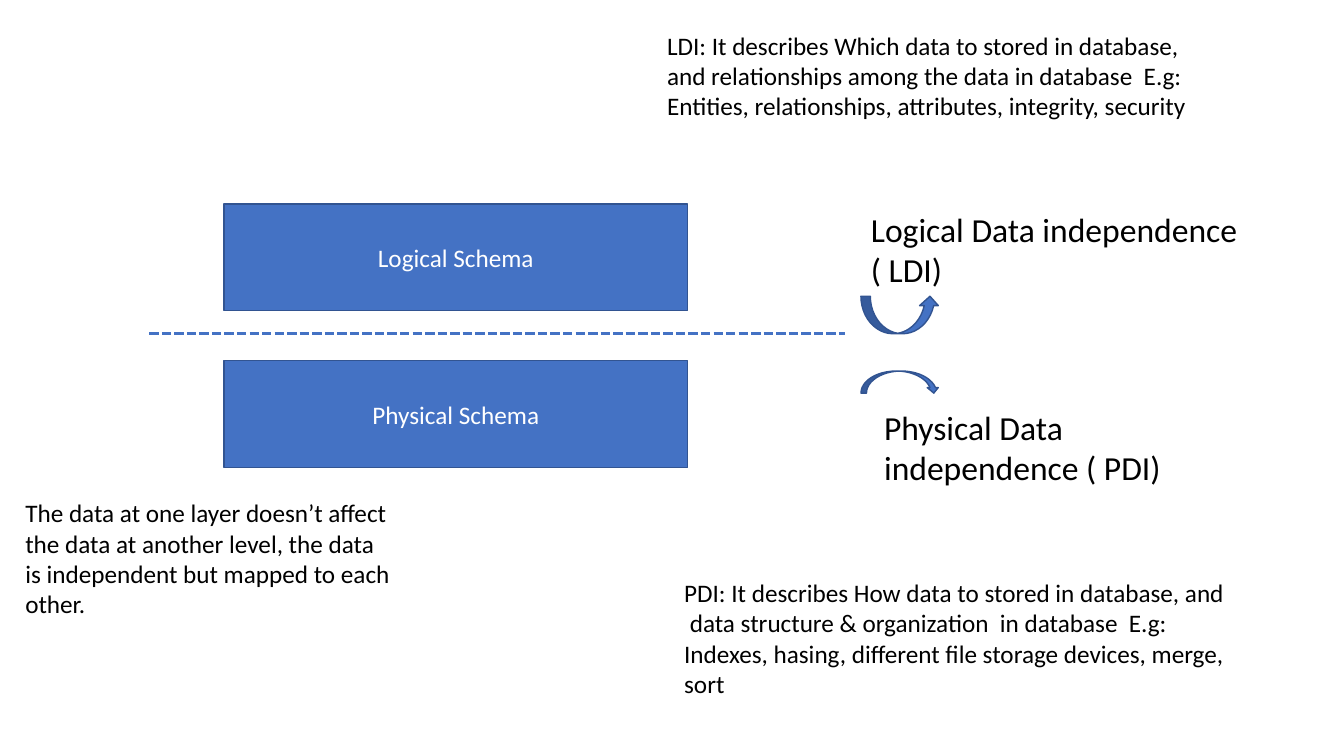
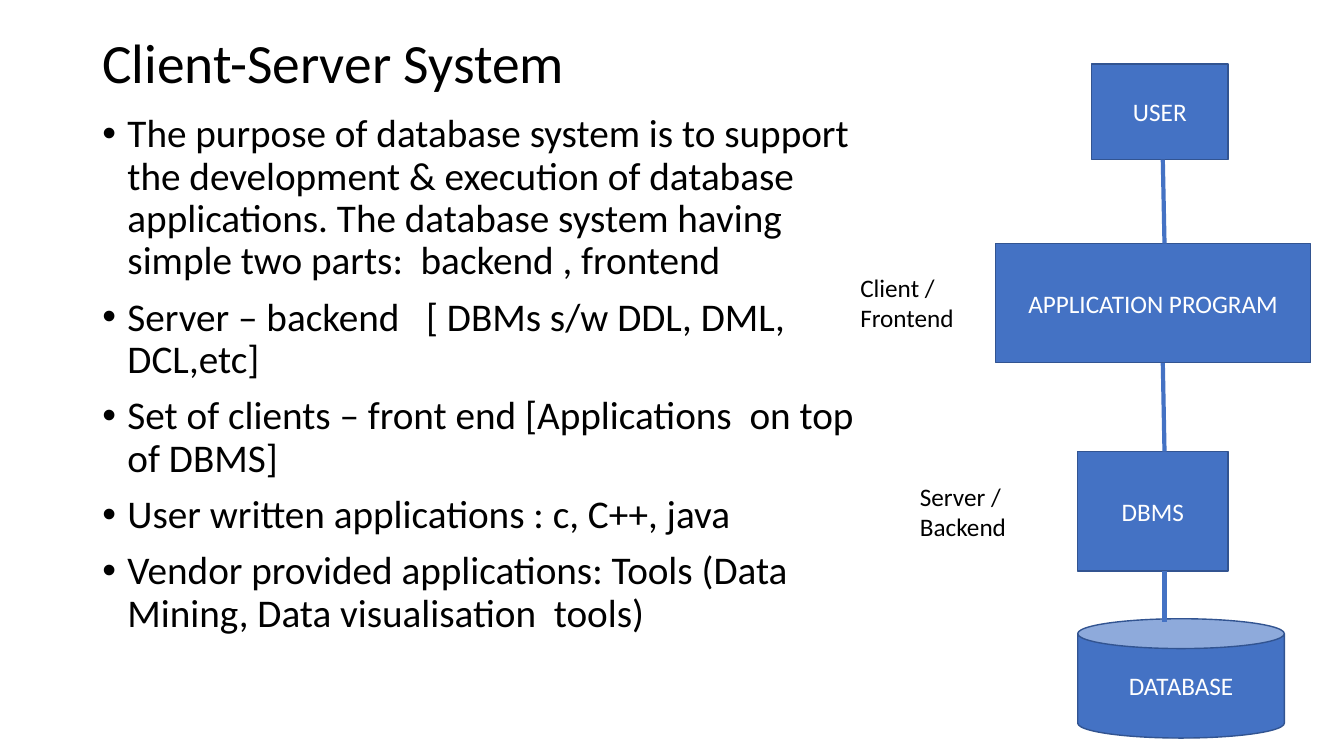
from dataclasses import dataclass

from lxml import etree
from pptx import Presentation
from pptx.dml.color import RGBColor
from pptx.enum.dml import MSO_LINE
from pptx.enum.shapes import MSO_CONNECTOR, MSO_SHAPE
from pptx.enum.text import MSO_ANCHOR, PP_ALIGN
from pptx.oxml.ns import qn
from pptx.util import Pt

RECTANGLE = MSO_SHAPE.RECTANGLE
CAN = MSO_SHAPE.CAN
CURVED_UP = MSO_SHAPE.CURVED_UP_ARROW
CURVED_DOWN = MSO_SHAPE.CURVED_DOWN_ARROW
STRAIGHT = MSO_CONNECTOR.STRAIGHT
DASH = MSO_LINE.SQUARE_DOT
LEFT, CENTER = PP_ALIGN.LEFT, PP_ALIGN.CENTER
TOP, MIDDLE = MSO_ANCHOR.TOP, MSO_ANCHOR.MIDDLE


@dataclass(frozen=True)
class Theme:
    font: str = "Calibri"
    ink: RGBColor = RGBColor(0x00, 0x00, 0x00)
    light: RGBColor = RGBColor(0xFF, 0xFF, 0xFF)
    accent: RGBColor = RGBColor(0x44, 0x72, 0xC4)
    outline: RGBColor = RGBColor(0x32, 0x54, 0x91)
    title: float = 39.6
    body: float = 28
    heading: float = 24
    label: float = 18


THEME = Theme()
SLIDE_SIZE = (960, 540)

SCHEMA_LEFT, SCHEMA_TOP, SCHEMA_WIDTH, SCHEMA_HEIGHT = 160, 145.6, 331.2, 76.4
SCHEMA_STEP = 112
SCHEMAS = ["Logical Schema", "Physical Schema"]
DIVIDER = (106.6, 238.4, 603.4, 238.4)
CURVED_ARROWS = [
    (CURVED_UP, (615, 211.6, 56, 26.8)),
    (CURVED_DOWN, (615, 265, 56, 15.8)),
]
HEADINGS = [
    ("Logical Data independence ( LDI)", (615, 145.6, 278, 65.4)),
    ("Physical Data independence ( PDI)", (624.4, 286.8, 278, 65.4)),
]
NOTES = [
    ("LDI: It describes Which data to stored in database, and relationships among "
     "the data in database  E.g: Entities, relationships, attributes, integrity, security",
     (469.4, 18, 403.2, 72.7)),
    ("PDI: It describes How data to stored in database, and  data structure & "
     "organization  in database  E.g: Indexes, hasing, different file storage devices, "
     "merge, sort",
     (481.6, 409, 403.2, 94.5)),
    ("The data at one layer doesn’t affect the data at another level, the data is "
     "independent but mapped to each other.",
     (11, 352, 278, 94.5)),
]

TITLE = ("Client-Server System", (66, 28.8, 828, 35.3))
BULLETS = [
    "The purpose of database system is to support the development & execution of "
    "database applications. The database system having simple two parts:  backend , frontend",
    "Server – backend   [ DBMs s/w DDL, DML, DCL,etc]",
    "Set of clients – front end [Applications  on top of DBMS]",
    "User written applications : c, C++, java",
    "Vendor provided applications: Tools (Data Mining, Data visualisation  tools)",
]
BULLET_BOX = (66, 77.8, 560, 409)
TIERS = [
    ("USER", RECTANGLE, (779.8, 45.6, 97.4, 68.4)),
    ("APPLICATION PROGRAM", RECTANGLE, (711.2, 174, 225, 85.2)),
    ("DBMS", RECTANGLE, (769.8, 322.6, 107.4, 85.2)),
    ("DATABASE", CAN, (769.8, 442, 147.6, 85.2)),
]
LINKS = [(830.6, 831.8, 0), (830.6, 831.8, 0), (831.8, 831.8, 2.4)]
SIDE_LABELS = [
    (["Server /", "Backend"], (650, 340, 95, 51)),
    (["Client /", "Frontend"], (607.4, 190.6, 95, 51)),
]


def points(values):
    return [Pt(value) for value in values]


def set_bullet(paragraph, indent):
    properties = paragraph._p.get_or_add_pPr()
    properties.set("marL", str(Pt(indent)))
    properties.set("indent", str(-Pt(indent)))
    font = etree.SubElement(properties, qn("a:buFont"))
    font.set("typeface", "Arial")
    etree.SubElement(properties, qn("a:buChar")).set("char", "•")


def write_text(shape, lines, size=THEME.label, color=THEME.ink, align=LEFT,
               anchor=TOP, spacing=None, gap=0, bullet_indent=0):
    frame = shape.text_frame
    frame.word_wrap = True
    frame.vertical_anchor = anchor
    for index, line in enumerate(lines):
        paragraph = frame.add_paragraph() if index else frame.paragraphs[0]
        paragraph.text = line
        paragraph.alignment = align
        if spacing:
            paragraph.line_spacing = spacing
        if index and gap:
            paragraph.space_before = Pt(gap)
        if bullet_indent:
            set_bullet(paragraph, bullet_indent)
        paragraph.font.name = THEME.font
        paragraph.font.size = Pt(size)
        paragraph.font.color.rgb = color


def add_text(slide, lines, box, **text_format):
    shape = slide.shapes.add_textbox(*points(box))
    write_text(shape, lines, **text_format)


def add_block(slide, kind, box, label=None):
    shape = slide.shapes.add_shape(kind, *points(box))
    shape.shadow.inherit = False
    shape.fill.solid()
    shape.fill.fore_color.rgb = THEME.accent
    shape.line.color.rgb = THEME.outline
    shape.line.width = Pt(1)
    if label:
        write_text(shape, [label], color=THEME.light, align=CENTER, anchor=MIDDLE)


def add_line(slide, ends, width, dash=None):
    line = slide.shapes.add_connector(STRAIGHT, *points(ends))
    line.line.color.rgb = THEME.accent
    line.line.width = Pt(width)
    if dash:
        line.line.dash_style = dash
    etree.SubElement(line._element.spPr, qn("a:effectLst"))


def build_independence(slide):
    for index, label in enumerate(SCHEMAS):
        top = SCHEMA_TOP + index * SCHEMA_STEP
        add_block(slide, RECTANGLE, (SCHEMA_LEFT, top, SCHEMA_WIDTH, SCHEMA_HEIGHT), label)
    add_line(slide, DIVIDER, 2.25, DASH)
    for kind, box in CURVED_ARROWS:
        add_block(slide, kind, box)
    for text, box in HEADINGS:
        add_text(slide, [text], box, size=THEME.heading)
    for text, box in NOTES:
        add_text(slide, [text], box)


def build_client_server(slide):
    title, title_box = TITLE
    add_text(slide, [title], title_box, size=THEME.title, anchor=MIDDLE, spacing=0.9)
    add_text(slide, BULLETS, BULLET_BOX, size=THEME.body, spacing=0.9, gap=10,
             bullet_indent=18)
    for label, kind, box in TIERS:
        add_block(slide, kind, box, label)
    boxes = [box for _, _, box in TIERS]
    for upper, lower, (start, end, overlap) in zip(boxes, boxes[1:], LINKS):
        add_line(slide, (start, upper[1] + upper[3], end, lower[1] + overlap), 3)
    for lines, box in SIDE_LABELS:
        add_text(slide, lines, box)


def main():
    presentation = Presentation()
    presentation.slide_width, presentation.slide_height = points(SLIDE_SIZE)
    blank = presentation.slide_layouts[6]
    for build in (build_independence, build_client_server):
        build(presentation.slides.add_slide(blank))
    presentation.save("out.pptx")


if __name__ == "__main__":
    main()
